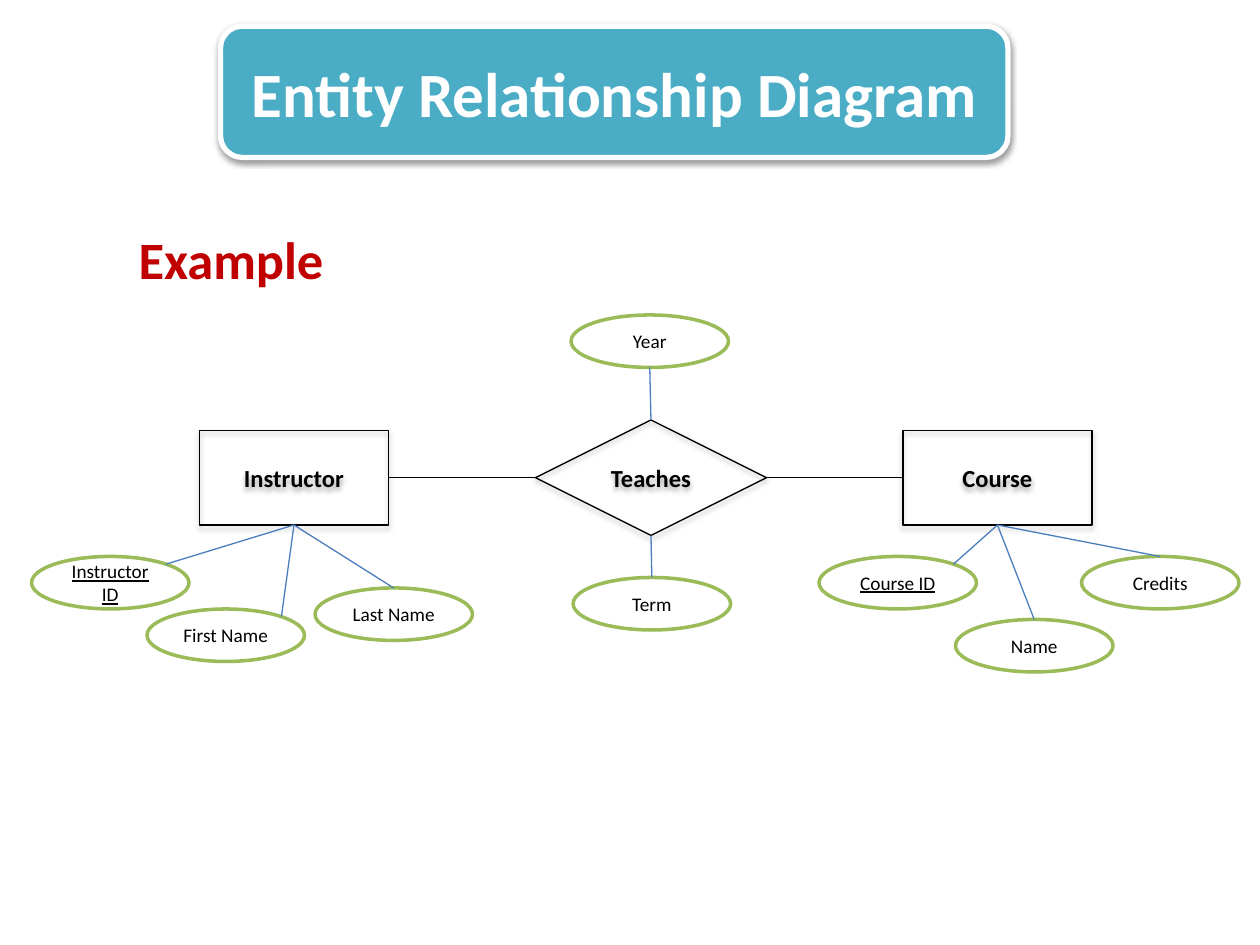
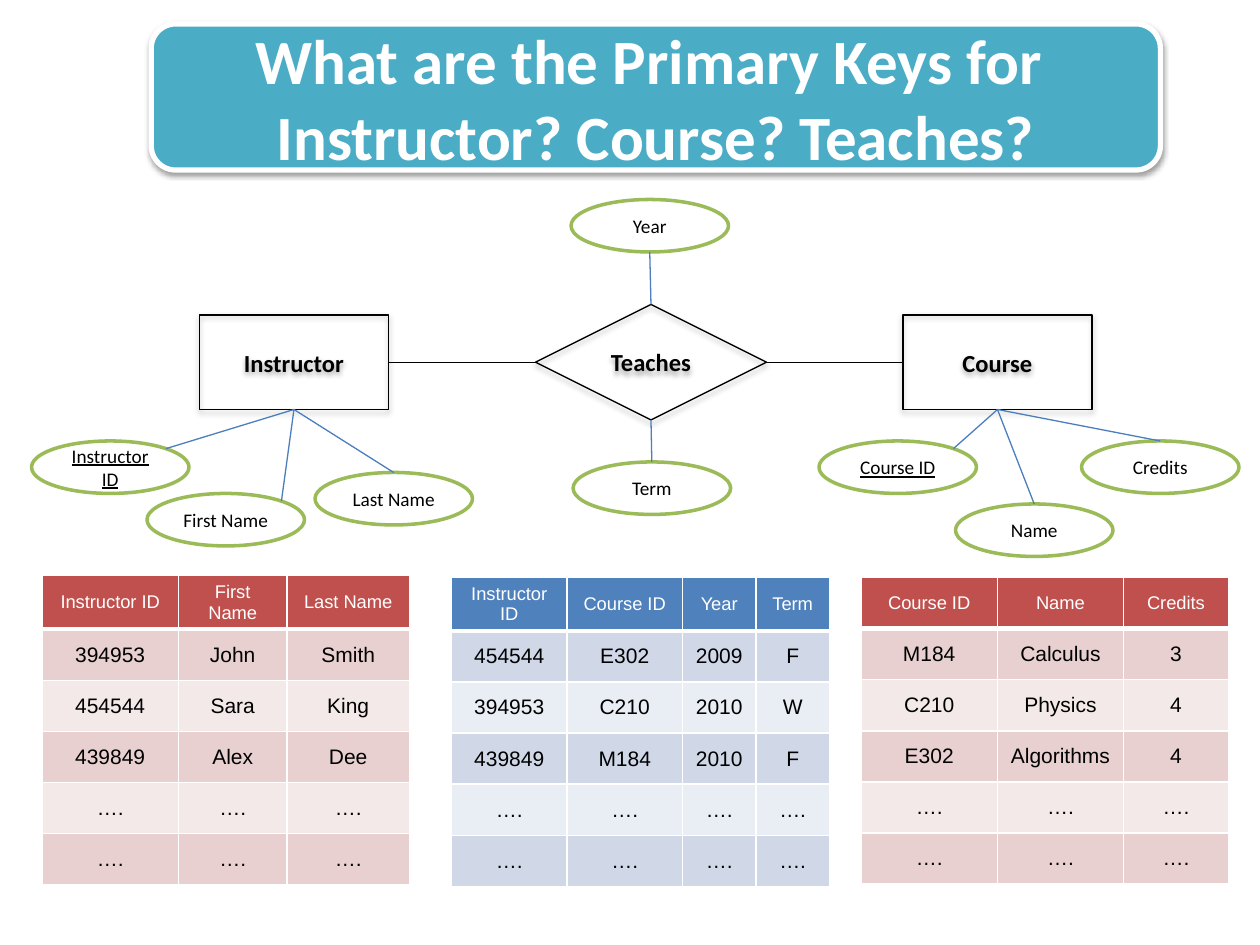
from dataclasses import dataclass
from math import sqrt
from typing import Any

from lxml.etree import SubElement
from pptx import Presentation
from pptx.dml.color import RGBColor
from pptx.enum.shapes import MSO_CONNECTOR as Connector, MSO_SHAPE as Preset
from pptx.enum.text import MSO_ANCHOR as Anchor, MSO_AUTO_SIZE as AutoSize, PP_ALIGN as Align
from pptx.oxml.ns import qn
from pptx.util import Pt

# Shared look
COLOURS = {
    "white": "FFFFFF", "black": "000000", "teal": "4BACC6", "green": "9BBB59",
    "link": "4B7EBC", "heading": "C00000",
    "red": "C0504D", "red dark band": "E8D0D0", "red light band": "F4E9E9",
    "blue": "4F81BD", "blue dark band": "D0D8E8", "blue light band": "E9EDF4",
}
TITLE_FONT = {"name": "Calibri", "size": Pt(36), "bold": True}
HEADING_FONT = {"name": "Calibri", "size": Pt(30), "bold": True}
ENTITY_FONT = {"name": "Calibri", "size": Pt(14), "bold": True}
ATTRIBUTE_FONT = {"name": "Calibri", "size": Pt(11), "bold": False}
HEADER_FONT = {"name": "Arial", "size": Pt(10.5), "bold": False}
CELL_FONT = {"name": "Arial", "size": Pt(12), "bold": False}
CENTRED_FRAME = {"word_wrap": True, "auto_size": AutoSize.NONE, "vertical_anchor": Anchor.MIDDLE}
ROW_HEIGHT = 29.2


@dataclass(frozen=True)
class Node:
    """One shape of the diagram, placed from the diagram's top edge."""
    text: str
    preset: Any
    left: float
    top: float
    width: float = 90
    height: float = 30
    is_key: bool = False

    def point(self, side: str) -> tuple[float, float]:
        across, down = {
            "top": (0, -1), "bottom": (0, 1), "left": (-1, 0), "right": (1, 0),
            "upper right": (1 / sqrt(2), -1 / sqrt(2)),
        }[side]
        return (self.left + self.width / 2 * (1 + across),
                self.top + self.height / 2 * (1 + down))


@dataclass(frozen=True)
class Link:
    start: str
    start_side: str
    end: str
    end_side: str
    colour: str = "link"


@dataclass(frozen=True)
class DataTable:
    left: float
    top: float
    colour: str
    widths: list[float]
    rows: list[list[str]]


# Diagram: entities, relationship and attributes
NODES = {
    "course": Node("Course", Preset.RECTANGLE, 516, 66, 108, 54),
    "teaches": Node("Teaches", Preset.DIAMOND, 306, 60, 132, 66),
    "instructor": Node("Instructor", Preset.RECTANGLE, 114, 66, 108, 54),
    "course id": Node("Course ID", Preset.OVAL, 468, 138, is_key=True),
    "name": Node("Name", Preset.OVAL, 546, 174),
    "credits": Node("Credits", Preset.OVAL, 618, 138),
    "term": Node("Term", Preset.OVAL, 327.5, 150),
    "year": Node("Year", Preset.OVAL, 326.3, 0),
    "first name": Node("First Name", Preset.OVAL, 84, 168),
    "last name": Node("Last Name", Preset.OVAL, 180, 156),
    "instructor id": Node("Instructor ID", Preset.OVAL, 18, 138, is_key=True),
}
LINKS = [
    Link("teaches", "right", "course", "left", "black"),
    Link("teaches", "left", "instructor", "right", "black"),
    Link("course id", "upper right", "course", "bottom"),
    Link("name", "top", "course", "bottom"),
    Link("credits", "top", "course", "bottom"),
    Link("teaches", "top", "year", "bottom"),
    Link("teaches", "bottom", "term", "top"),
    Link("first name", "upper right", "instructor", "bottom"),
    Link("last name", "top", "instructor", "bottom"),
    Link("instructor id", "upper right", "instructor", "bottom"),
]

# Table contents
TABLES = [
    DataTable(24, 329, "red", [78, 62, 70], [
        ["Instructor ID", "First Name", "Last Name"],
        ["394953", "John", "Smith"],
        ["454544", "Sara", "King"],
        ["439849", "Alex", "Dee"],
    ]),
    DataTable(258, 330, "blue", [66, 66, 42, 42], [
        ["Instructor ID", "Course ID", "Year", "Term"],
        ["454544", "E302", "2009", "F"],
        ["394953", "C210", "2010", "W"],
        ["439849", "M184", "2010", "F"],
    ]),
    DataTable(492, 330, "red", [78, 72, 60], [
        ["Course ID", "Name", "Credits"],
        ["M184", "Calculus", "3"],
        ["C210", "Physics", "4"],
        ["E302", "Algorithms", "4"],
    ]),
]


# Formatting helpers
def rgb(colour: str) -> RGBColor:
    return RGBColor.from_string(COLOURS[colour])


def apply_format(target: Any, values: dict[str, Any]) -> None:
    for name, value in values.items():
        setattr(target, name, value)


def place(shape: Any, left: float, top: float, width: float, height: float) -> None:
    apply_format(shape, {"left": Pt(left), "top": Pt(top), "width": Pt(width), "height": Pt(height)})


def write(frame: Any, text: str, font: dict[str, Any], colour: str, align: Any = Align.CENTER) -> Any:
    frame.text = text
    para = frame.paragraphs[0]
    para.alignment = align
    for span in para.runs:
        apply_format(span.font, font)
        span.font.color.rgb = rgb(colour)
    return para


def set_line(line: Any, colour: str, width: float) -> None:
    line.color.rgb = rgb(colour)
    line.width = Pt(width)


def add_shadow(shape: Any, distance: float, opacity: int) -> None:
    effects = shape.element.spPr.find(qn("a:effectLst"))
    shadow = SubElement(effects, qn("a:outerShdw"), blurRad=str(Pt(3.15)),
                        dist=str(Pt(distance)), dir="5400000", rotWithShape="0")
    tint = SubElement(shadow, qn("a:srgbClr"), val=COLOURS["black"])
    SubElement(tint, qn("a:alpha"), val=str(opacity * 1000))


# Slide parts
def add_title(page: Any, text: str, left: float, top: float, width: float, height: float) -> None:
    title = page.shapes.title
    panel = page.shapes.add_shape(Preset.ROUNDED_RECTANGLE, 0, 0, 0, 0)
    for shape in (panel, title):
        place(shape, left, top, width, height)
    panel.shadow.inherit = False
    panel.fill.solid()
    panel.fill.fore_color.rgb = rgb("teal")
    set_line(panel.line, "white", 3)
    add_shadow(panel, 1.6, 38)
    title.element.addprevious(panel.element)
    apply_format(title.text_frame, CENTRED_FRAME)
    write(title.text_frame, text, TITLE_FONT, "white")


def add_node(shapes: Any, node: Node, diagram_top: float) -> None:
    box = shapes.add_shape(node.preset, Pt(node.left), Pt(diagram_top + node.top),
                           Pt(node.width), Pt(node.height))
    box.shadow.inherit = False
    apply_format(box.text_frame, CENTRED_FRAME)
    if node.preset == Preset.OVAL:
        box.fill.solid()
        box.fill.fore_color.rgb = rgb("white")
        set_line(box.line, "green", 2)
        write(box.text_frame, node.text, ATTRIBUTE_FONT | {"underline": node.is_key}, "black")
    else:
        box.fill.background()
        set_line(box.line, "black", 0.75)
        add_shadow(box, 1.8, 35)
        write(box.text_frame, node.text, ENTITY_FONT, "black")


def add_link(shapes: Any, link: Link, diagram_top: float) -> None:
    start_x, start_y = NODES[link.start].point(link.start_side)
    end_x, end_y = NODES[link.end].point(link.end_side)
    line = shapes.add_connector(Connector.STRAIGHT, Pt(start_x), Pt(diagram_top + start_y),
                                Pt(end_x), Pt(diagram_top + end_y))
    set_line(line.line, link.colour, 0.75)
    SubElement(line.element.spPr, qn("a:effectLst"))


def add_diagram(page: Any, top: float) -> None:
    group = page.shapes.add_group_shape()
    for node in NODES.values():
        add_node(group.shapes, node, top)
    for link in LINKS:
        add_link(group.shapes, link, top)


def add_borders(cell: Any, bottom_width: float) -> None:
    properties = cell._tc.get_or_add_tcPr()
    widths = {"a:lnL": 1, "a:lnR": 1, "a:lnT": 1, "a:lnB": bottom_width}
    for position, (tag, width) in enumerate(widths.items()):
        border = SubElement(properties, qn(tag), w=str(Pt(width)))
        fill = SubElement(border, qn("a:solidFill"))
        SubElement(fill, qn("a:srgbClr"), val=COLOURS["white"])
        properties.insert(position, border)


def add_data_table(page: Any, data: DataTable) -> None:
    rows = data.rows + [["…."] * len(data.widths)] * 2
    table = page.shapes.add_table(len(rows), len(data.widths), Pt(data.left), Pt(data.top),
                                  Pt(sum(data.widths)), Pt(ROW_HEIGHT * len(rows))).table
    table.horz_banding = False
    for column, width in zip(table.columns, data.widths):
        column.width = Pt(width)
    for row_number, texts in enumerate(rows):
        table.rows[row_number].height = Pt(ROW_HEIGHT)
        is_header = row_number == 0
        band = "dark" if row_number % 2 else "light"
        for column_number, text in enumerate(texts):
            cell = table.cell(row_number, column_number)
            cell.vertical_anchor = Anchor.MIDDLE
            cell.fill.solid()
            cell.fill.fore_color.rgb = rgb(data.colour if is_header else f"{data.colour} {band} band")
            add_borders(cell, 3 if is_header else 1)
            write(cell.text_frame, text, HEADER_FONT if is_header else CELL_FONT,
                  "white" if is_header else "black")


def add_heading(page: Any, text: str) -> None:
    body = page.placeholders[1]
    place(body, 36, 126, 648, 356.4)
    para = write(body.text_frame, text, HEADING_FONT, "heading", Align.LEFT)
    para.level = 1
    properties = para._p.get_or_add_pPr()
    properties.set("marL", str(Pt(36)))
    properties.set("indent", "0")
    SubElement(properties, qn("a:buNone"))


deck = Presentation()
apply_format(deck, {"slide_width": Pt(720), "slide_height": Pt(540)})

# Slide 1: the example diagram
page = deck.slides.add_slide(deck.slide_layouts.get_by_name("Title and Content"))
add_heading(page, "Example")
add_title(page, "Entity Relationship Diagram", 126, 15, 450, 75)
add_diagram(page, 180)

# Slide 2: the diagram with its tables
page = deck.slides.add_slide(deck.slide_layouts.get_by_name("Title Only"))
add_title(page, "What are the Primary Keys for \vInstructor? Course? Teaches?", 86.4, 13.7, 576.7, 83.5)
for data in TABLES:
    add_data_table(page, data)
add_diagram(page, 114)

deck.save("out.pptx")
